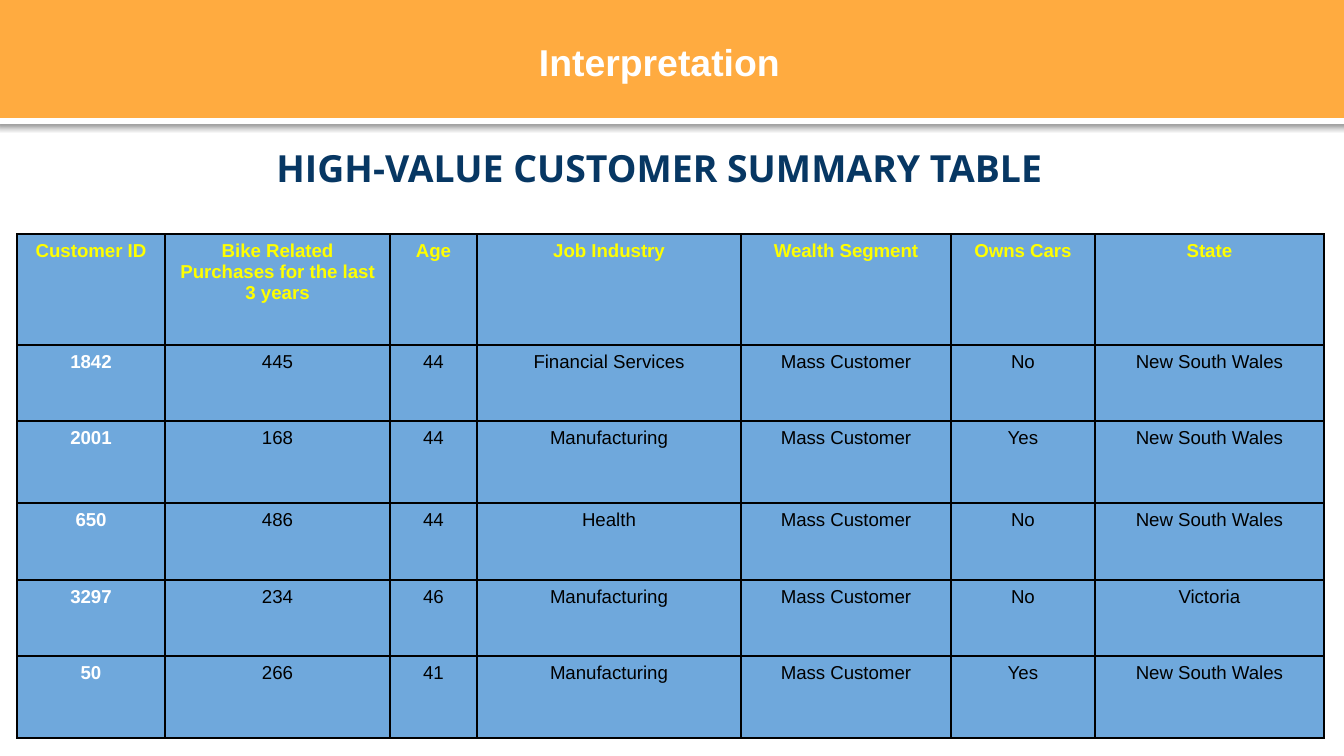
import dataclasses

import lxml.etree
import pptx
import pptx.dml.color
import pptx.enum.shapes
import pptx.enum.text
import pptx.oxml
import pptx.oxml.ns
import pptx.util

SCALE = pptx.util.Inches(10) / 1344
SLIDE_SIZE = (1344, 756)
BAND_BOX = (-3, -3, 1351, 124)
TITLE_BOX = (30, 26, 1259, 86)
SUBTITLE_BOX = (30, 125, 1259, 75)
TABLE_ORIGIN = (17, 234)
COLUMN_WIDTHS = (148, 225, 87, 264, 210, 144, 229)
ROW_HEIGHTS = (111, 76, 82, 77, 76, 82)
CUSTOMERS = (
    ("Customer ID", "Bike Related Purchases for the last 3 years", "Age",
     "Job Industry", "Wealth Segment", "Owns Cars", "State"),
    ("1842", "445", "44", "Financial Services", "Mass Customer", "No", "New South Wales"),
    ("2001", "168", "44", "Manufacturing", "Mass Customer", "Yes", "New South Wales"),
    ("650", "486", "44", "Health", "Mass Customer", "No", "New South Wales"),
    ("3297", "234", "46", "Manufacturing", "Mass Customer", "No", "Victoria"),
    ("50", "266", "41", "Manufacturing", "Mass Customer", "Yes", "New South Wales"),
)


@dataclasses.dataclass(frozen=True)
class Theme:
    """Colours, fonts and type sizes of the slide."""
    band: str = "FFAB40"
    white: str = "FFFFFF"
    navy: str = "073763"
    cell: str = "6FA8DC"
    header: str = "FFFF00"
    black: str = "000000"
    body_font: str = "Arial"
    subtitle_font: str = "Open Sans"
    heading_size: int = 20
    table_size: int = 10


THEME = Theme()


def px(length):
    """Turn a length in px into EMU."""
    return pptx.util.Emu(round(length * SCALE))


def color(value):
    """Turn a hex string into a colour."""
    return pptx.dml.color.RGBColor.from_string(value)


def write_text(text_frame, text, font, size, fill, bold=True):
    """Write one centred run and return its paragraph."""
    text_frame.word_wrap = True
    text_frame.vertical_anchor = pptx.enum.text.MSO_ANCHOR.TOP
    paragraph = text_frame.paragraphs[0]
    paragraph.alignment = pptx.enum.text.PP_ALIGN.CENTER
    run = paragraph.add_run()
    run.text = text
    run.font.name = font
    run.font.size = pptx.util.Pt(size)
    run.font.bold = bold
    run.font.color.rgb = color(fill)
    return paragraph


def set_insets(text_frame):
    """Give a heading equal insets on all sides."""
    text_frame.auto_size = pptx.enum.text.MSO_AUTO_SIZE.NONE
    for side in ("left", "top", "right", "bottom"):
        setattr(text_frame, f"margin_{side}", pptx.util.Inches(0.1))


def add_shadow(shape):
    """Give a shape a soft shadow straight below it."""
    shape.shadow.inherit = False
    effects = shape.element.spPr.find(pptx.oxml.ns.qn("a:effectLst"))
    effects.append(pptx.oxml.parse_xml(
        f'<a:outerShdw {pptx.oxml.ns.nsdecls("a")} blurRad="40000" dist="20000" '
        f'dir="5400000" rotWithShape="0"><a:srgbClr val="{THEME.black}">'
        '<a:alpha val="38000"/></a:srgbClr></a:outerShdw>'))


def add_title_band(slide, band_box, title_box):
    """Place the coloured band and the slide title on it."""
    band = slide.shapes.add_shape(
        pptx.enum.shapes.MSO_SHAPE.RECTANGLE, *map(px, band_box))
    band.fill.solid()
    band.fill.fore_color.rgb = color(THEME.band)
    band.line.color.rgb = color(THEME.white)
    band.line.width = pptx.util.Pt(3)
    add_shadow(band)
    title = slide.shapes.title
    title.element.addprevious(band.element)
    title.left, title.top, title.width, title.height = map(px, title_box)
    set_insets(title.text_frame)
    write_text(title.text_frame, "Interpretation", THEME.body_font,
               THEME.heading_size, THEME.white)


def add_subtitle(slide, box):
    """Place the heading above the table."""
    text_frame = slide.shapes.add_textbox(*map(px, box)).text_frame
    set_insets(text_frame)
    paragraph = write_text(text_frame, "HIGH-VALUE CUSTOMER SUMMARY TABLE",
                           THEME.subtitle_font, THEME.heading_size, THEME.navy)
    paragraph.line_spacing = 1.15


def add_borders(cell):
    """Draw a thin black border around a cell."""
    properties = cell._tc.get_or_add_tcPr()
    for position, side in enumerate(("lnL", "lnR", "lnT", "lnB")):
        border = pptx.oxml.parse_xml(
            f'<a:{side} {pptx.oxml.ns.nsdecls("a")} w="{pptx.util.Pt(1)}">'
            f'<a:solidFill><a:srgbClr val="{THEME.black}"/></a:solidFill></a:{side}>')
        properties.insert(position, border)


def add_customer_table(slide, origin):
    """Place the customer table with its top left corner at the origin."""
    size = (sum(COLUMN_WIDTHS), sum(ROW_HEIGHTS))
    table = slide.shapes.add_table(
        len(ROW_HEIGHTS), len(COLUMN_WIDTHS), *map(px, origin + size)).table
    table.horz_banding = False
    for column, width in zip(table.columns, COLUMN_WIDTHS):
        column.width = px(width)
    for row, height in zip(table.rows, ROW_HEIGHTS):
        row.height = px(height)
    for row_index, customer in enumerate(CUSTOMERS):
        for column_index, text in enumerate(customer):
            cell = table.cell(row_index, column_index)
            cell.fill.solid()
            cell.fill.fore_color.rgb = color(THEME.cell)
            add_borders(cell)
            is_header, is_customer_id = row_index == 0, column_index == 0
            body_color = THEME.white if is_customer_id else THEME.black
            write_text(cell.text_frame, text, THEME.body_font, THEME.table_size,
                       THEME.header if is_header else body_color,
                       is_header or is_customer_id)


def main():
    """Build and save the presentation."""
    presentation = pptx.Presentation()
    presentation.slide_width, presentation.slide_height = map(px, SLIDE_SIZE)
    slide = presentation.slides.add_slide(presentation.slide_layouts[5])
    add_title_band(slide, BAND_BOX, TITLE_BOX)
    add_subtitle(slide, SUBTITLE_BOX)
    add_customer_table(slide, TABLE_ORIGIN)
    presentation.save("out.pptx")


if __name__ == "__main__":
    main()
